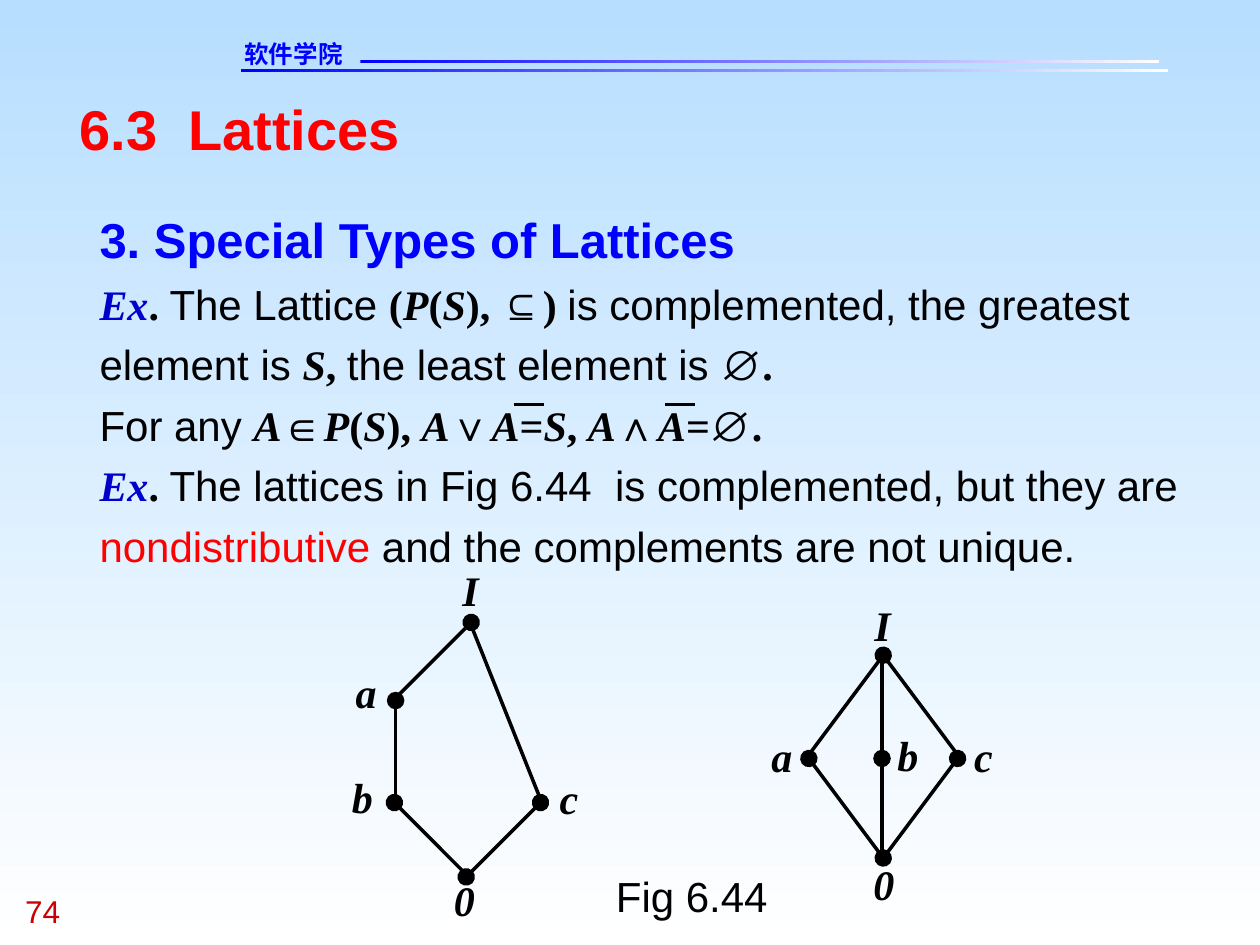
from dataclasses import dataclass

from lxml.etree import SubElement
from pptx import Presentation
from pptx.dml.color import RGBColor
from pptx.enum.shapes import MSO_CONNECTOR as Conn, MSO_SHAPE as Shape
from pptx.enum.text import PP_ALIGN as Align
from pptx.oxml.ns import qn
from pptx.util import Inches, Pt

COLORS = {
    "sky": "B7DEFF",
    "white": "FFFFFF",
    "blue": "0000FF",
    "navy": "0000CC",
    "red": "FF0000",
    "crimson": "CC0000",
    "black": "000000",
}
SANS, SERIF = "Arial", "Times New Roman"


@dataclass
class Run:
    text: str
    font: str = SANS
    size: float = 24
    color: str = "black"
    bold: bool = False
    italic: bool = False


@dataclass
class Edge:
    start: tuple[float, float]
    end: tuple[float, float]
    head: bool = False
    tail: bool = True


@dataclass
class Label:
    text: str
    left: float
    top: float
    width: float = 0.17


@dataclass
class Lattice:
    edges: list[Edge]
    labels: list[Label]


def math(text: str, **kw) -> Run:
    return Run(text, SERIF, bold=True, italic=True, **kw)


def upright(text: str) -> Run:
    return Run(text, SERIF, bold=True)


def symbol(text: str) -> Run:
    return Run(text, bold=True)


def rgb(name: str) -> RGBColor:
    return RGBColor.from_string(COLORS[name])


def set_gradient(fill, first: str, last: str, angle: float) -> None:
    fill.gradient()
    fill.gradient_angle = angle
    for stop, name, position in zip(fill.gradient_stops, (first, last), (0, 1)):
        stop.color.rgb = rgb(name)
        stop.position = position


def add_text(shapes, box: tuple, *paragraphs: list[Run], align=Align.LEFT,
             spacing: float = 1, wrap: bool = True, insets: tuple = (0, 0)) -> None:
    tf = shapes.add_textbox(*map(Inches, box)).text_frame
    tf.word_wrap = wrap
    tf.margin_left = tf.margin_right = Inches(insets[0])
    tf.margin_top = tf.margin_bottom = Inches(insets[1])
    for i, runs in enumerate(paragraphs):
        p = tf.add_paragraph() if i else tf.paragraphs[0]
        p.alignment = align
        p.line_spacing = spacing
        for run in runs:
            r = p.add_run()
            r.text = run.text
            r.font.name = run.font
            r.font.size = Pt(run.size)
            r.font.bold = run.bold
            r.font.italic = run.italic
            r.font.color.rgb = rgb(run.color)


def add_line(shapes, edge: Edge) -> None:
    c = shapes.add_connector(Conn.STRAIGHT, *map(Inches, edge.start + edge.end))
    c.line.color.rgb = rgb("black")
    c.line.width = Pt(2)
    ln = c.line._get_or_add_ln()
    for tag, shown in (("a:headEnd", edge.head), ("a:tailEnd", edge.tail)):
        if shown:
            SubElement(ln, qn(tag), type="oval", w="lg", len="lg")
    SubElement(c._element.spPr, qn("a:effectLst"))


def add_rule(shapes, left: float, top: float, width: float) -> None:
    sp = shapes.add_shape(Shape.RECTANGLE, *map(Inches, (left, top, width, 0.02)))
    sp.shadow.inherit = False
    sp.line.fill.background()
    set_gradient(sp.fill, "blue", "white", 0)


def add_lattice(shapes, lattice: Lattice) -> None:
    group = shapes.add_group_shape().shapes
    for edge in lattice.edges:
        add_line(group, edge)
    for label in lattice.labels:
        add_text(group, (label.left, label.top, label.width, 0.4),
                 [math(label.text)], align=Align.CENTER, wrap=False)


PENTAGON = Lattice(
    [
        Edge((3.7, 6.96), (4.29, 6.37), head=True),
        Edge((3.72, 6.96), (3.13, 6.37)),
        Edge((3.14, 6.35), (3.14, 5.56)),
        Edge((3.15, 5.53), (3.74, 4.94)),
        Edge((4.28, 6.32), (3.73, 4.94), tail=False),
    ],
    [
        Label("0", 3.6, 6.94),
        Label("b", 2.79, 6.12),
        Label("a", 2.82, 5.29),
        Label("c", 4.44, 6.13, 0.15),
        Label("I", 3.67, 4.48, 0.13),
    ],
)
DIAMOND = Lattice(
    [
        Edge((7.01, 6.81), (7.6, 6.02), head=True),
        Edge((7.01, 6.81), (6.42, 6.02)),
        Edge((6.42, 5.99), (7.01, 5.2)),
        Edge((7.6, 5.99), (7.01, 5.2), tail=False),
        Edge((7, 6), (7, 5.22), tail=False),
        Edge((7, 6.81), (7, 6.02)),
    ],
    [
        Label("a", 6.12, 5.8),
        Label("I", 6.94, 4.76, 0.13),
        Label("c", 7.73, 5.8, 0.15),
        Label("0", 6.93, 6.81),
        Label("b", 7.12, 5.79),
    ],
)
EXAMPLE = [math("Ex", color="navy"), upright(". ")]
POWER_SET = [math("P"), upright("("), math("S"), upright("), ")]
BODY = [
    [Run("3. Special Types of Lattices", size=28, color="blue", bold=True)],
    [*EXAMPLE, Run("The Lattice "), upright("("), *POWER_SET, symbol("⊆"), upright(") "),
     Run("is complemented, the greatest element is "), math("S"), upright(", "),
     Run("the least element is "), symbol("∅"), upright(".")],
    [Run("For any "), math("A"), symbol("∈"), *POWER_SET,
     math("A"), symbol("∨"), math("A"), upright("="), math("S"), upright(", "),
     math("A"), symbol("∧"), math("A"), upright("="), symbol("∅"), upright(".")],
    [*EXAMPLE, Run("The lattices in Fig 6.44  is complemented, but they are "),
     Run("nondistributive", color="red"), Run(" and the complements are not unique.")],
]


def main() -> None:
    prs = Presentation()
    prs.slide_width, prs.slide_height = Inches(10), Inches(7.5)
    s = prs.slides.add_slide(prs.slide_layouts[6])
    set_gradient(s.background.fill, "sky", "white", 270)

    add_rule(s.shapes, 1.91, 0.55, 7.36)
    add_rule(s.shapes, 2.86, 0.48, 6.34)
    add_text(s.shapes, (1.94, 0.31, 1.45, 0.23),
             [Run("软件学院", "DejaVu Sans", 14, "blue", bold=True)])
    add_text(s.shapes, (0.2, 7.08, 0.75, 0.3), [Run("74", size=18, color="crimson")])
    for lattice in (PENTAGON, DIAMOND):
        add_lattice(s.shapes, lattice)
    add_text(s.shapes, (0.79, 1.57, 8.76, 2.96), *BODY, spacing=1.2)
    add_text(s.shapes, (0.63, 0.75, 8.75, 0.53),
             [Run("6.3  Lattices", size=32, color="red", bold=True)])
    for left in (4.08, 5.28):
        add_line(s.shapes, Edge((left, 3.21), (left + 0.24, 3.21), tail=False))
    add_text(s.shapes, (4.79, 6.86, 1.6, 0.5), [Run("Fig 6.44")], insets=(0.1, 0.05))
    prs.save("out.pptx")


if __name__ == "__main__":
    main()
